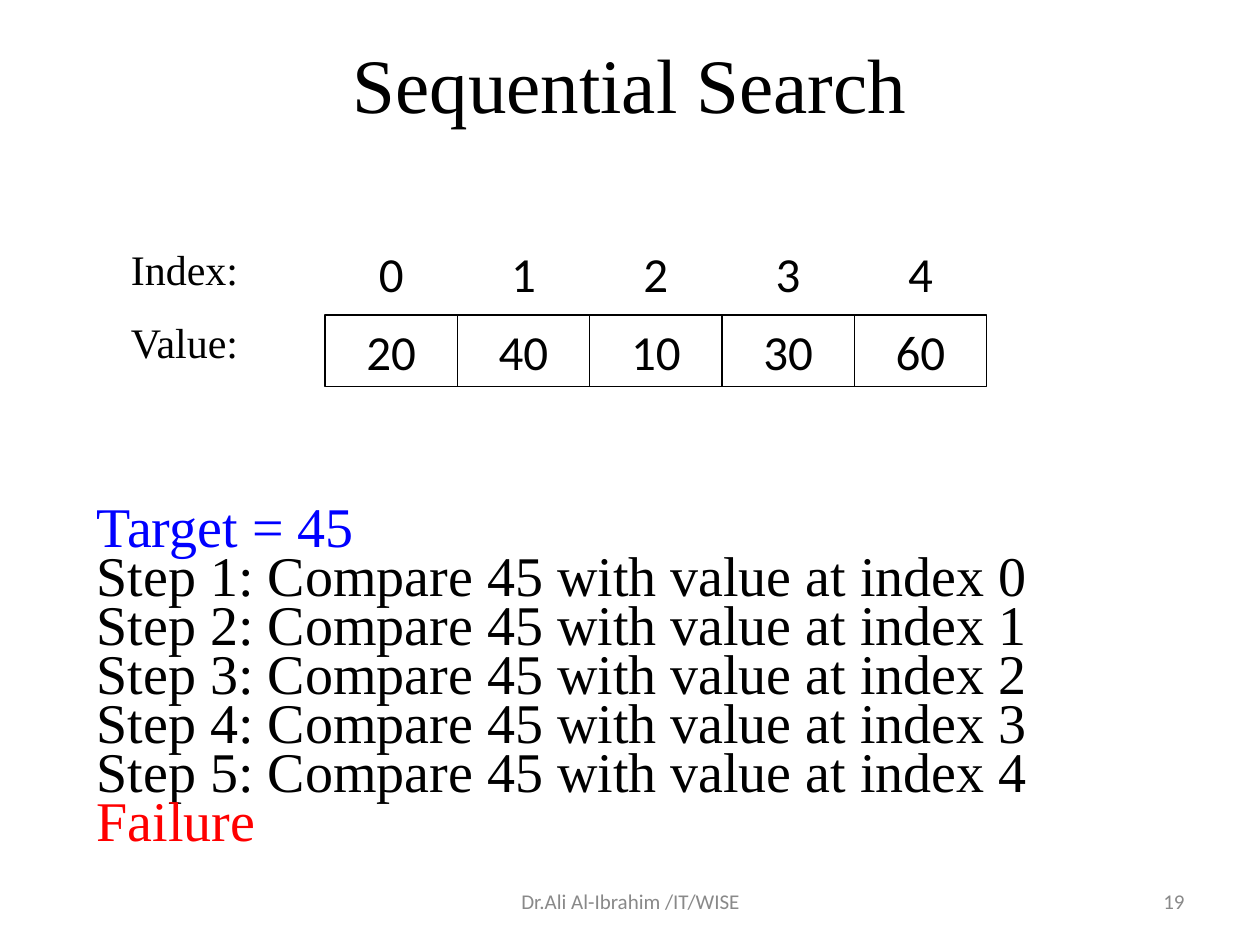
"""Build the sequential search slide: array diagram and comparison steps for a missing target."""
from dataclasses import dataclass

from pptx import Presentation
from pptx.dml.color import RGBColor
from pptx.enum import shapes, text
from pptx.util import Inches, Pt


@dataclass(frozen=True)
class Theme:
    serif: str = "Times New Roman"
    sans: str = "Calibri"
    ink: str = "000000"
    target: str = "0000FF"
    failure: str = "FF0000"
    muted: str = "898989"
    title: int = 44
    steps: int = 32
    cell: int = 28
    label: int = 24
    footer: int = 12


theme = Theme()
align = text.PP_ALIGN
anchor = text.MSO_ANCHOR


def style(para, font, size, color, alignment):
    para.alignment = alignment
    for span in para.runs:
        span.font.name = font
        span.font.size = Pt(size)
        span.font.color.rgb = RGBColor.from_string(color)


def add_text(page, area, content, font, size, color=theme.ink,
             alignment=align.LEFT, vertical=anchor.TOP, outlined=False):
    area = [Inches(length) for length in area]
    if outlined:
        box = page.shapes.add_shape(shapes.MSO_SHAPE.RECTANGLE, *area)
        box.shadow.inherit = False
        box.fill.background()
        box.line.color.rgb = RGBColor.from_string(theme.ink)
        box.line.width = Pt(0.75)
    else:
        box = page.shapes.add_textbox(*area)
    frame = box.text_frame
    frame.text = content
    frame.word_wrap = True
    frame.vertical_anchor = vertical
    for para in frame.paragraphs:
        style(para, font, size, color, alignment)
    return box


deck = Presentation()
deck.slide_width, deck.slide_height = Inches(10), Inches(7.5)
page = deck.slides.add_slide(deck.slide_layouts[6])

add_text(page, (0.75, 0.16, 8.5, 0.99), "Sequential Search", theme.serif, theme.title,
         alignment=align.CENTER, vertical=anchor.MIDDLE)

values = [20, 40, 10, 30, 60]
cell_left, cell_width, cell_height = 2.58, 1.05, 0.57
for index, value in enumerate(values):
    left = cell_left + index * cell_width
    for top, number, outlined in ((1.88, index, False), (2.5, value, True)):
        add_text(page, (left, top, cell_width, cell_height), str(number), theme.sans,
                 theme.cell, alignment=align.CENTER, outlined=outlined)

for top, label in ((1.88, "Index:"), (2.46, "Value:")):
    add_text(page, (0.94, top, 1.41, 0.5), label, theme.serif, theme.label)

target = 45
lines = [f"Target = {target}"]
lines += [f"Step {index + 1}: Compare {target} with value at index {index}"
          for index in range(len(values))]
lines.append("Failure")
steps = add_text(page, (0.67, 4.3, 8.75, 2.83), "\n".join(lines), theme.serif, theme.steps,
                 vertical=anchor.MIDDLE).text_frame
steps.margin_top, steps.margin_bottom = Inches(0), Inches(0.64)
for para in steps.paragraphs:
    para.line_spacing = 0.73
for para, color in ((steps.paragraphs[0], theme.target), (steps.paragraphs[-1], theme.failure)):
    style(para, theme.serif, theme.steps, color, align.LEFT)

for left, width, content, alignment in (
    (3.42, 3.17, "Dr.Ali Al-Ibrahim /IT/WISE", align.CENTER),
    (7.17, 2.33, "19", align.RIGHT),
):
    add_text(page, (left, 6.95, width, 0.4), content, theme.sans, theme.footer,
             theme.muted, alignment, anchor.MIDDLE)

deck.save("out.pptx")
